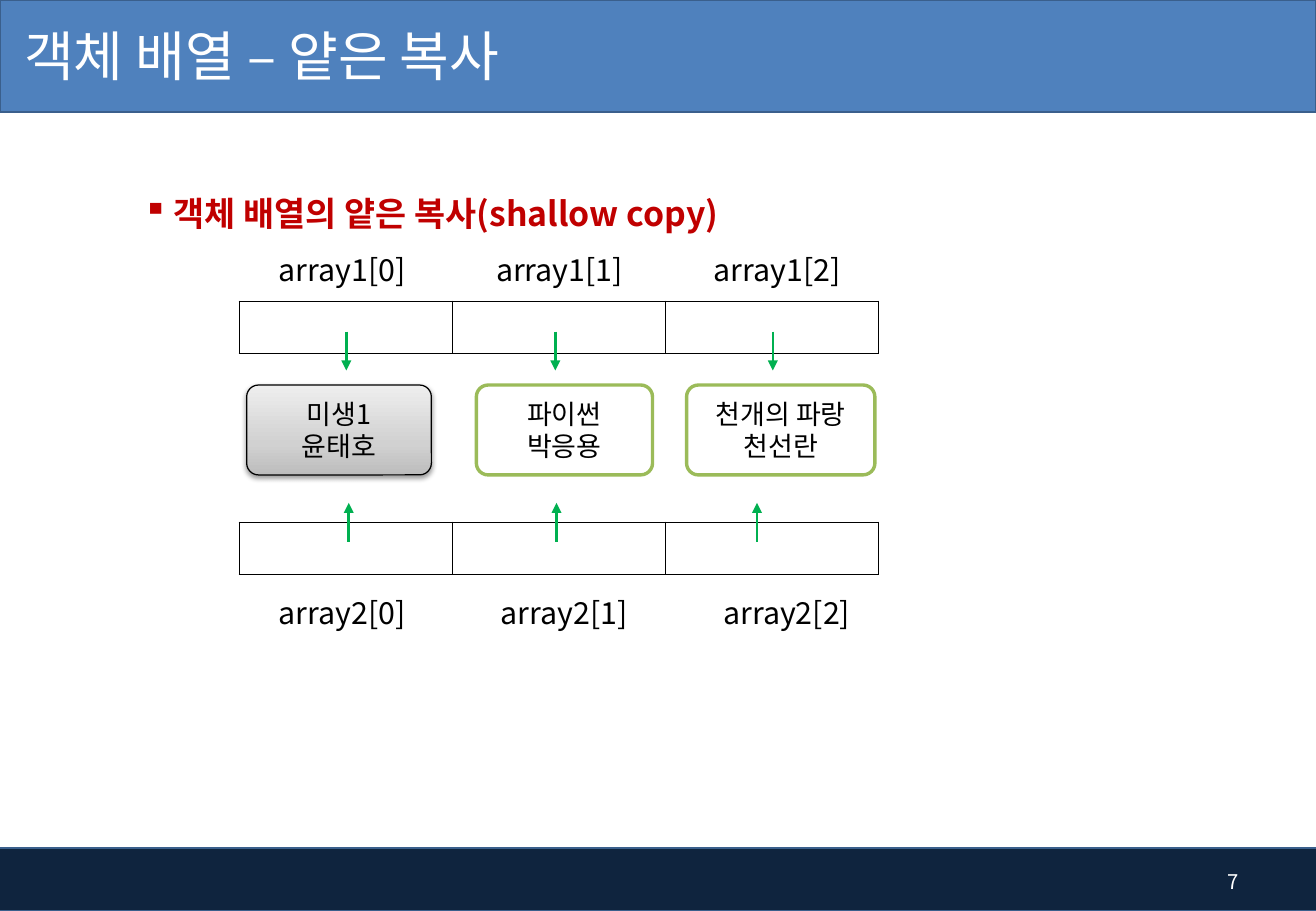
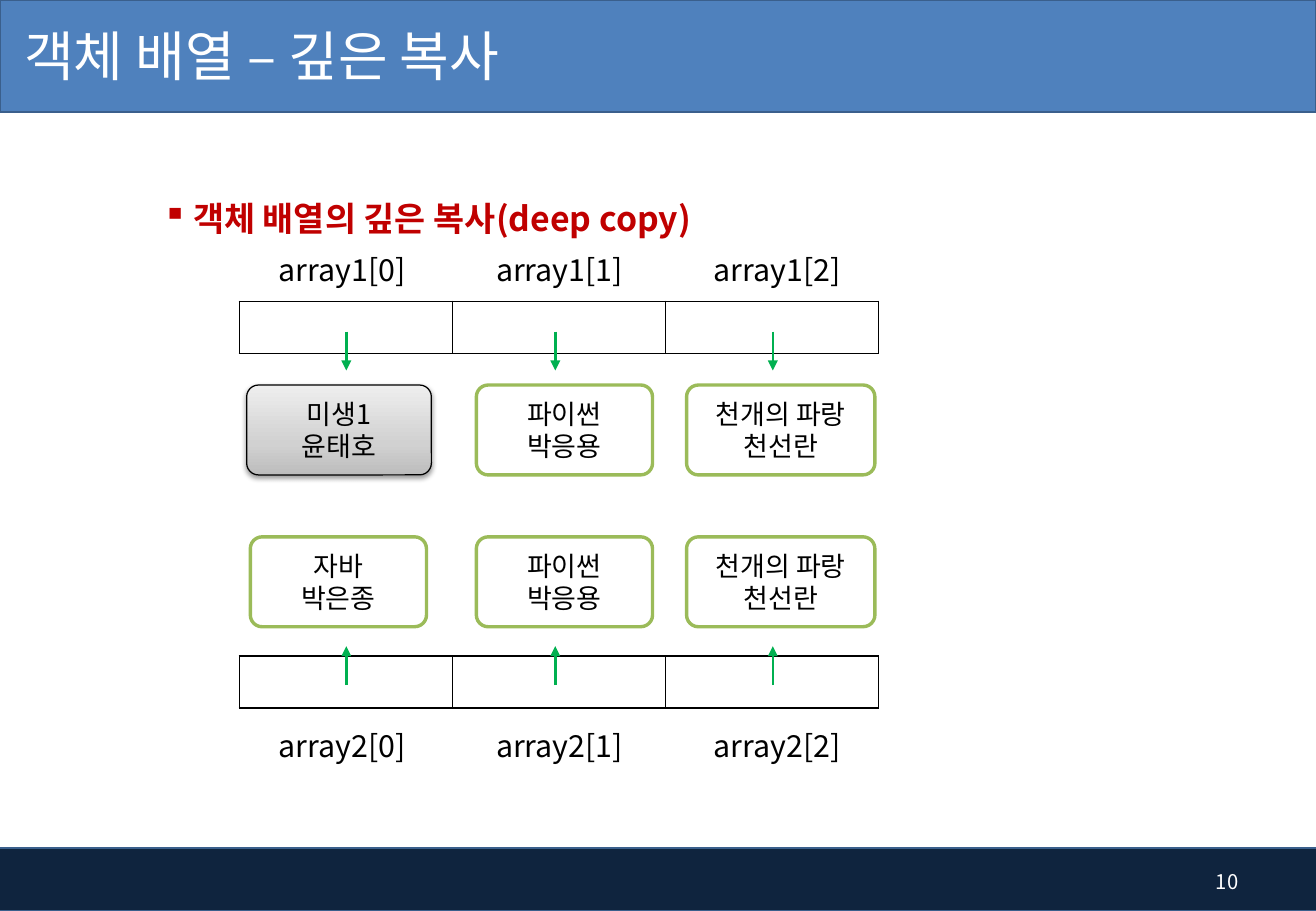
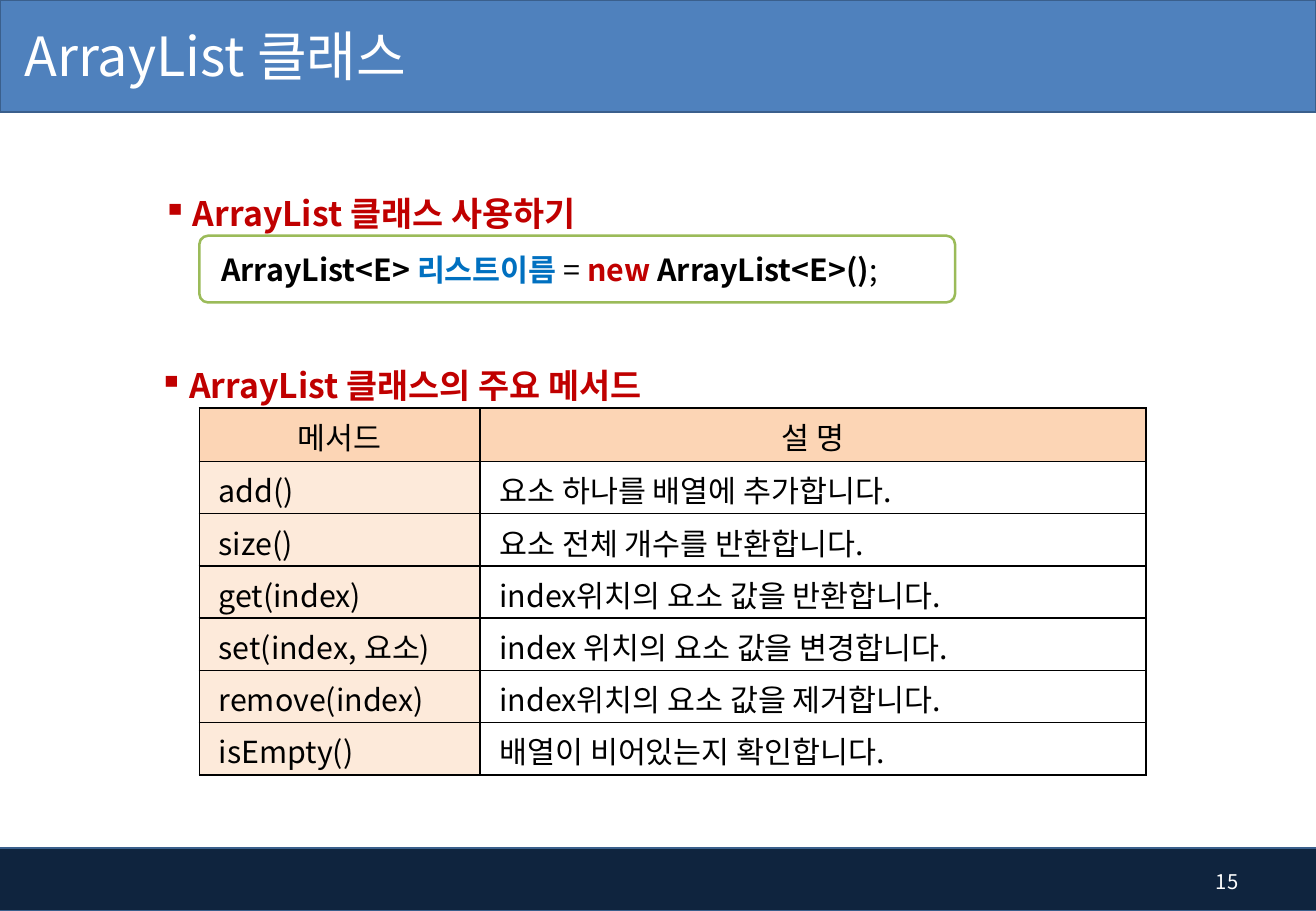
from copy import deepcopy
from dataclasses import dataclass

from lxml import etree
from pptx import Presentation
from pptx.dml.color import RGBColor
from pptx.enum import shapes, text
from pptx.oxml.ns import qn
from pptx.util import Inches, Pt

ALIGN = text.PP_ALIGN
MIDDLE = text.MSO_ANCHOR.MIDDLE
TITLE_ONLY = 5


@dataclass(frozen=True)
class Theme:
    font: str = "Noto Sans CJK KR"
    title_size: int = 32
    heading_size: int = 20
    body_size: int = 18
    book_size: int = 16
    number_size: int = 12
    white: str = "FFFFFF"
    ink: str = "000000"
    red: str = "C00000"
    blue: str = "0070C0"
    arrow: str = "00B050"
    outline: str = "9BBB59"
    title_band: str = "4F81BD"
    footer_band: str = "0F243E"
    band_line: str = "3A5F8C"
    table_head: str = "FCD5B5"
    table_key: str = "FDEADA"
    gradient: tuple = ((0, "BDBDBD"), (0.35, "D1D1D1"), (1, "EEEEEE"))


THEME = Theme()


def rgb(value):
    return RGBColor.from_string(value)


def box(left, top, width, height):
    return Inches(left), Inches(top), Inches(width), Inches(height)


def add_xml(parent, tag, **attributes):
    child = etree.SubElement(parent, qn(tag))
    for key, value in attributes.items():
        child.set(key, str(value))
    return child


def write(frame, *lines, size=THEME.body_size, color=THEME.ink, bold=False,
          align=ALIGN.LEFT, anchor=None, bullet=None, spacing=None):
    """Fill a text frame; a line is a string or a list of (text, color, bold) runs."""
    frame.word_wrap = True
    if anchor is not None:
        frame.vertical_anchor = anchor
    for index, line in enumerate(lines):
        paragraph = frame.paragraphs[0] if index == 0 else frame.add_paragraph()
        paragraph.alignment = align
        if spacing:
            paragraph.line_spacing = spacing
        if bullet:
            properties = paragraph._p.get_or_add_pPr()
            properties.set("marL", str(Inches(0.25)))
            properties.set("indent", str(Inches(-0.25)))
            add_xml(properties, "a:buChar", char=bullet)
        runs = [(line, color, bold)] if isinstance(line, str) else line
        for words, run_color, run_bold in runs:
            run = paragraph.add_run()
            run.text = words
            font = run.font
            font.size, font.bold, font.name = Pt(size), run_bold, THEME.font
            font.color.rgb = rgb(run_color)
            add_xml(run._r.get_or_add_rPr(), "a:ea", typeface=THEME.font)


class Deck:
    def __init__(self):
        self.presentation = Presentation()
        self.presentation.slide_width = Inches(10.83)
        self.presentation.slide_height = Inches(7.5)
        self.layout = self.presentation.slide_layouts[TITLE_ONLY]
        self.slide = None
        self.has_bands = False

    def new_slide(self, title, number):
        self.slide = self.presentation.slides.add_slide(self.layout)
        if not self.has_bands:
            self.move_bands_to_layout()
        heading = self.slide.shapes.title
        heading.left, heading.top, heading.width, heading.height = box(0, -0.02, 6.78, 0.94)
        frame = heading.text_frame
        frame.auto_size = text.MSO_AUTO_SIZE.NONE
        frame.margin_left = Inches(0.2)
        write(frame, title, size=THEME.title_size, color=THEME.white, anchor=MIDDLE)
        self.label(str(number), 9.68, 7.06, 0.61, size=THEME.number_size,
                   color=THEME.white, align=ALIGN.RIGHT, anchor=MIDDLE)

    def move_bands_to_layout(self):
        """Draw the two bands once and place them behind everything in the layout."""
        bands = (((0, 0, 10.83, 0.92), THEME.title_band),
                 ((-0.04, 6.98, 10.88, 0.52), THEME.footer_band))
        for place, fill in bands:
            band = self.shape(shapes.MSO_SHAPE.RECTANGLE, place, fill, THEME.band_line, 1)
            self.layout.shapes.element.insert(2, band.element)
        self.has_bands = True

    def shape(self, kind, place, fill, line, width):
        shape = self.slide.shapes.add_shape(kind, *box(*place))
        shape.shadow.inherit = False
        shape.fill.solid()
        shape.fill.fore_color.rgb = rgb(fill)
        shape.line.color.rgb = rgb(line)
        shape.line.width = Pt(width)
        return shape

    def rounded(self, place, line=THEME.outline, width=2):
        shape = self.shape(shapes.MSO_SHAPE.ROUNDED_RECTANGLE, place, THEME.white, line, width)
        shape.adjustments[0] = 0.131
        return shape

    def label(self, words, left, top, width, height=0.4, **style):
        frame = self.slide.shapes.add_textbox(*box(left, top, width, height)).text_frame
        write(frame, words, **style)
        return frame

    def heading(self, words, left, top, width, height):
        frame = self.label(words, left, top, width, height, size=THEME.heading_size,
                           color=THEME.red, bold=True, bullet="▪", spacing=1.5)
        frame.margin_top = Inches(0.19)

    def book(self, title, author, left, top, width, changed=False):
        """Draw a book object; a changed one is grey and casts a shadow."""
        if changed:
            card = self.rounded((left, top, width, 0.74), THEME.ink, 0.75)
            self.shade(card)
        else:
            card = self.rounded((left, top, width, 0.74))
        write(card.text_frame, title, author, size=THEME.book_size,
              align=ALIGN.CENTER, anchor=MIDDLE)

    def shade(self, card):
        card.fill.gradient()
        card.fill.gradient_angle = 90
        stop_list = card.element.spPr.find(".//" + qn("a:gsLst"))
        stop_list.append(deepcopy(stop_list[-1]))
        for stop, (position, color) in zip(card.fill.gradient_stops, THEME.gradient):
            stop.position = position
            stop.color.rgb = rgb(color)
        effects = card.element.spPr.find(qn("a:effectLst"))
        shadow = add_xml(effects, "a:outerShdw", blurRad=Pt(3.1), dist=Pt(1.6),
                         dir=90 * 60000, rotWithShape=0)
        add_xml(add_xml(shadow, "a:srgbClr", val=THEME.ink), "a:alpha", val=38000)

    def arrow(self, x, start, end):
        arrow = self.slide.shapes.add_connector(
            shapes.MSO_CONNECTOR.STRAIGHT, Inches(x), Inches(start), Inches(x), Inches(end))
        arrow.line.color.rgb = rgb(THEME.arrow)
        arrow.line.width = Pt(1.5)
        add_xml(arrow.line._get_or_add_ln(), "a:tailEnd", type="triangle")
        add_xml(arrow.element.spPr, "a:effectLst")

    def table(self, left, top, columns, heights):
        """Add an unfilled table with black borders."""
        table = self.slide.shapes.add_table(
            len(heights), len(columns), *box(left, top, sum(columns), sum(heights))).table
        table.first_row = table.horz_banding = False
        for column, width in zip(table.columns, columns):
            column.width = Inches(width)
        for row, height in zip(table.rows, heights):
            row.height = Inches(height)
        for cell in table.iter_cells():
            properties = cell._tc.get_or_add_tcPr()
            for side in "LRTB":
                border = add_xml(properties, f"a:ln{side}", w=Pt(1))
                add_xml(add_xml(border, "a:solidFill"), "a:srgbClr", val=THEME.ink)
            cell.fill.background()
        return table

    def array(self, name, top, label_top, arrow_y, arrow_xs=(2.85, 4.57, 6.36), pitch=1.79):
        """Draw a three-cell array with its labels and the arrows to its objects."""
        self.table(1.97, top, [5.26 / 3] * 3, [0.43])
        for index, x in enumerate(arrow_xs):
            frame = self.label(f"{name}[{index}]", 1.95 + index * pitch, label_top, 1.73,
                               align=ALIGN.CENTER)
            frame.auto_size = text.MSO_AUTO_SIZE.SHAPE_TO_FIT_TEXT
            self.arrow(x, *arrow_y)

    def method_table(self, left, top, rows):
        table = self.table(left, top, [2.31, 5.48], [0.44] + [0.43] * (len(rows) - 1))
        for row_index, row in enumerate(rows):
            for column_index, words in enumerate(row):
                cell = table.cell(row_index, column_index)
                is_head = row_index == 0
                if is_head or column_index == 0:
                    cell.fill.solid()
                    cell.fill.fore_color.rgb = rgb(THEME.table_head if is_head
                                                   else THEME.table_key)
                if not is_head:
                    cell.margin_left = Inches(0.16)
                cell.vertical_anchor = MIDDLE
                write(cell.text_frame, words,
                      align=ALIGN.CENTER if is_head else ALIGN.LEFT)


SHARED_BOOKS = (("파이썬", "박응용", 3.92, 1.45), ("천개의 파랑", "천선란", 5.65, 1.55))

METHODS = (
    ("메서드", "설 명"),
    ("add()", "요소 하나를 배열에 추가합니다."),
    ("size()", "요소 전체 개수를 반환합니다."),
    ("get(index)", "index위치의 요소 값을 반환합니다."),
    ("set(index, 요소)", "index 위치의 요소 값을 변경합니다."),
    ("remove(index)", "index위치의 요소 값을 제거합니다."),
    ("isEmpty()", "배열이 비어있는지 확인합니다."),
)


def add_shared_books(deck, top):
    for title, author, left, width in SHARED_BOOKS:
        deck.book(title, author, left, top, width)


def add_first_array(deck):
    deck.array("array1", 2.48, 2.02, (2.73, 3.05))
    deck.book("미생1", "윤태호", 2.03, 3.17, 1.52, changed=True)
    add_shared_books(deck, 3.17)


def shallow_copy_slide(deck):
    deck.new_slide("객체 배열 – 얕은 복사", 7)
    deck.heading("객체 배열의 얕은 복사(shallow copy)", 1.08, 1.23, 5.68, 0.67)
    add_first_array(deck)
    deck.array("array2", 4.3, 4.84, (4.46, 4.14), (2.87, 4.58, 6.23), pitch=1.83)


def deep_copy_slide(deck):
    deck.new_slide("객체 배열 – 깊은 복사", 10)
    deck.heading("객체 배열의 깊은 복사(deep copy)", 1.24, 1.27, 5.68, 0.67)
    add_first_array(deck)
    deck.book("자바", "박은종", 2.06, 4.42, 1.45)
    add_shared_books(deck, 4.42)
    deck.array("array2", 5.4, 5.94, (5.64, 5.32))


def array_list_slide(deck):
    deck.new_slide("ArrayList 클래스", 15)
    deck.heading("ArrayList 클래스 사용하기", 1.24, 1.23, 4.5, 0.55)
    syntax = deck.rounded((1.64, 1.94, 6.22, 0.55), width=1.5).text_frame
    syntax.margin_left = Inches(0.16)
    write(syntax, [("ArrayList<E> ", THEME.ink, True), ("리스트이름 ", THEME.blue, True),
                   ("= ", THEME.ink, False), ("new ", THEME.red, True),
                   ("ArrayList<E>()", THEME.ink, True), (";", THEME.ink, False)],
          anchor=MIDDLE)
    deck.heading("ArrayList 클래스의 주요 메서드", 1.21, 2.65, 4.6, 0.55)
    deck.method_table(1.64, 3.36, METHODS)


def main():
    deck = Deck()
    shallow_copy_slide(deck)
    deep_copy_slide(deck)
    array_list_slide(deck)
    deck.presentation.save("out.pptx")


if __name__ == "__main__":
    main()
